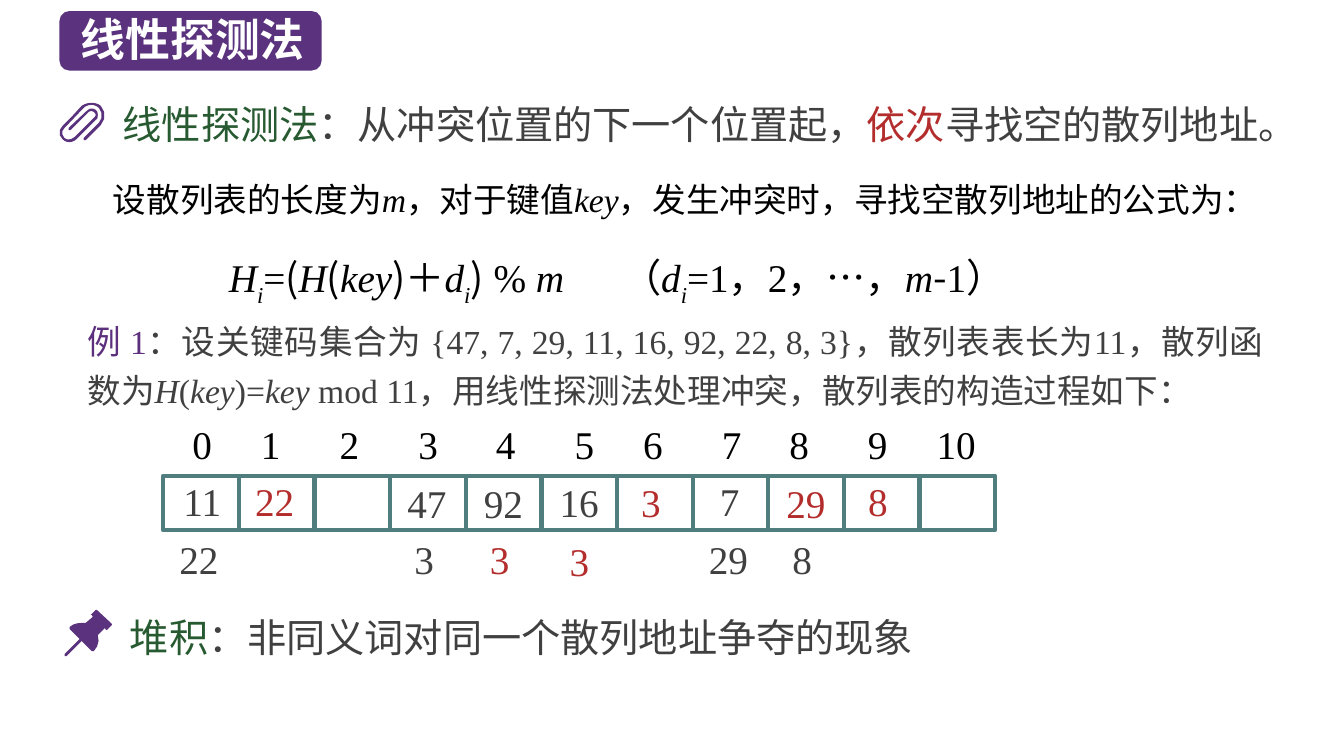
from dataclasses import dataclass
from typing import Any, Sequence

from lxml import etree
from pptx import Presentation
from pptx.dml.color import RGBColor
from pptx.enum import shapes, text
from pptx.oxml.ns import qn
from pptx.util import Inches, Pt

PURPLE = RGBColor(0x5A, 0x32, 0x7D)
VIOLET = RGBColor(0x5C, 0x30, 0x7D)
GREEN = RGBColor(0x28, 0x5A, 0x32)
RED = RGBColor(0xB4, 0x2D, 0x2D)
GRAY = RGBColor(0x40, 0x40, 0x40)
TEAL = RGBColor(0x50, 0x7D, 0x7D)
BLACK = RGBColor(0, 0, 0)
WHITE = RGBColor(0xFF, 0xFF, 0xFF)
SANS = "Noto Sans CJK SC"
SERIF = "Times New Roman"


@dataclass(frozen=True)
class Run:
    text: str
    color: RGBColor = BLACK
    font: str = SERIF
    italic: bool = False
    subscript: bool = False


@dataclass(frozen=True)
class Key:
    """A key written in the hash table or below it."""
    value: str
    left: float
    top: float
    color: RGBColor = GRAY


# Outlines: a pair is a straight step, six numbers are a Bézier curve
CLIP = [
    (1, 1.05), (0.98, 1.03, 0.94, 1.02, 0.91, 1.02), (0.87, 1.02, 0.84, 1.03, 0.81, 1.05),
    (0.7, 1.17), (0.62, 1.25), (0.58, 1.28, 0.58, 1.35, 0.62, 1.38),
    (0.64, 1.4, 0.66, 1.41, 0.69, 1.41), (0.71, 1.41, 0.74, 1.4, 0.76, 1.38),
    (0.9, 1.24), (0.95, 1.19), (0.97, 1.18, 0.97, 1.16, 0.97, 1.14),
    (0.97, 1.12, 0.97, 1.11, 0.95, 1.09), (0.93, 1.07, 0.88, 1.07, 0.86, 1.1),
    (0.68, 1.27), (0.68, 1.29), (0.69, 1.29), (0.7, 1.29),
    (0.88, 1.11), (0.89, 1.1, 0.92, 1.1, 0.93, 1.11), (0.94, 1.12, 0.95, 1.13, 0.95, 1.14),
    (0.95, 1.15, 0.94, 1.16, 0.93, 1.17), (0.88, 1.22), (0.74, 1.36),
    (0.71, 1.39, 0.66, 1.39, 0.64, 1.37), (0.61, 1.34, 0.61, 1.29, 0.64, 1.27),
    (0.65, 1.26), (0.83, 1.07), (0.85, 1.05, 0.88, 1.04, 0.91, 1.04),
    (0.93, 1.04, 0.96, 1.05, 0.98, 1.07), (1.02, 1.11, 1.02, 1.18, 0.98, 1.22),
    (0.83, 1.37), (0.83, 1.39), (0.84, 1.39), (0.85, 1.39),
    (1, 1.24), (1.05, 1.19, 1.05, 1.1, 1, 1.05),
]
PIN_HEAD = [
    (1.11, 6.19), (0.96, 6.05), (0.95, 6.05), (0.91, 6.09),
    (0.9, 6.1), (0.91, 6.1), (0.92, 6.12), (0.85, 6.18),
    (0.84, 6.18, 0.83, 6.18, 0.81, 6.18), (0.77, 6.18, 0.72, 6.19, 0.69, 6.22),
    (0.69, 6.24), (0.91, 6.46), (0.93, 6.46), (0.97, 6.42, 0.99, 6.36, 0.97, 6.3),
    (1.04, 6.23), (1.05, 6.25), (1.06, 6.25), (1.11, 6.2),
]
PIN_NEEDLE = [
    (0.66, 6.51), (0.64, 6.51), (0.64, 6.49), (0.8, 6.33),
    (0.82, 6.33), (0.83, 6.34, 0.83, 6.35, 0.82, 6.35),
]


def write(frame: Any, runs: Sequence[Run], *, size: float = 28, bold: bool = False,
          align: Any = text.PP_ALIGN.LEFT, spacing: Any = None,
          margins: tuple[float, float] = (0.1, 0.05), tabs: Sequence[float] = ()) -> None:
    """Fill a text frame with one paragraph of formatted runs."""
    frame.word_wrap = True
    frame.auto_size = text.MSO_AUTO_SIZE.SHAPE_TO_FIT_TEXT
    frame.vertical_anchor = text.MSO_ANCHOR.TOP
    frame.margin_left = frame.margin_right = Inches(margins[0])
    frame.margin_top = frame.margin_bottom = Inches(margins[1])
    paragraph = frame.paragraphs[0]
    paragraph.alignment = align
    if spacing:
        paragraph.line_spacing = spacing
    properties = paragraph._p.get_or_add_pPr()
    properties.set("hangingPunct", "0")
    if tabs:
        stops = etree.SubElement(properties, qn("a:tabLst"))
        for stop in tabs:
            etree.SubElement(stops, qn("a:tab"), pos=str(Inches(stop)), algn="l")
    for item in runs:
        run = paragraph.add_run()
        run.text = item.text
        run.font.size, run.font.name = Pt(size), item.font
        run.font.bold, run.font.italic = bold, item.italic
        run.font.color.rgb = item.color
        properties = run._r.get_or_add_rPr()
        properties.set("lang", "zh-CN")
        etree.SubElement(properties, qn("a:ea"), typeface=SANS)
        if item.subscript:
            properties.set("baseline", "-30000")


def add_text(parent: Any, left: float, top: float, width: float, height: float,
             runs: Sequence[Run], **formatting: Any) -> None:
    box = parent.add_textbox(Inches(left), Inches(top), Inches(width), Inches(height))
    write(box.text_frame, runs, **formatting)


def add_outline(parent: Any, steps: Sequence[tuple[float, ...]], samples: int = 3) -> None:
    """Draw a filled outline, sampling its curves."""
    points = [steps[0]]
    for step in steps[1:]:
        if len(step) == 2:
            points.append(step)
            continue
        knots = [points[-1], step[:2], step[2:4], step[4:]]
        for index in range(1, samples + 1):
            t = index / samples
            weights = ((1 - t) ** 3, 3 * t * (1 - t) ** 2, 3 * t * t * (1 - t), t ** 3)
            points.append(tuple(sum(w * k[axis] for w, k in zip(weights, knots))
                                for axis in (0, 1)))
    corners = [(Inches(x), Inches(y)) for x, y in points]
    builder = parent.build_freeform(*corners[0])
    builder.add_line_segments(corners[1:], close=True)
    outline = builder.convert_to_shape()
    outline.shadow.inherit = False
    outline.fill.solid()
    outline.fill.fore_color.rgb = PURPLE
    outline.line.fill.background()


presentation = Presentation()
presentation.slide_width, presentation.slide_height = Inches(13.33), Inches(7.5)
slide = presentation.slides.add_slide(presentation.slide_layouts[5])

# Title on its badge
title = slide.shapes.title
title.left, title.top, title.width, title.height = map(Inches, (0.7, 0.07, 2.65, 0.64))
write(title.text_frame, [Run("线性探测法", WHITE, SANS)], size=32, bold=True)
badge = slide.shapes.add_shape(shapes.MSO_SHAPE.ROUNDED_RECTANGLE, Inches(0.59),
                               Inches(0.11), Inches(2.6), Inches(0.59))
badge.shadow.inherit = False
badge.fill.solid()
badge.fill.fore_color.rgb = PURPLE
badge.line.fill.background()
title.element.addprevious(badge.element)

# Probing formula
H, D, M = Run("H", italic=True), Run("d", italic=True), Run("m", italic=True)
KEY, INDEX = Run("key", italic=True), Run("i", italic=True, subscript=True)
OPEN, COMMA = Run("(", font=SANS), Run("，", font=SANS)
formula = [H, INDEX, Run("="), OPEN, H, OPEN, KEY, Run(")＋", font=SANS), D, INDEX,
           Run(")", font=SANS), Run(" % "), M, Run("\t"), Run("（", font=SANS), D, INDEX,
           Run("=1"), COMMA, Run("2"), COMMA, Run("…", font=SANS), COMMA, M,
           Run("-", font=SANS), Run("1"), Run("）", font=SANS)]
add_text(slide.shapes, 2.27, 2.35, 8.83, 0.67, formula, spacing=1.2,
         align=text.PP_ALIGN.JUSTIFY, margins=(0, 0.05), tabs=[3.9])

# Definition with paper clip
definition = slide.shapes.add_group_shape().shapes
add_text(definition, 1.12, 0.95, 12.16, 0.57, [
    Run("线性探测法", GREEN, SANS), Run("：从冲突位置的下一个位置起，", GRAY, SANS),
    Run("依次", RED, SANS), Run("寻找空的散列地址。", GRAY, SANS)])
add_outline(definition, CLIP)

# Formula introduction and worked example
add_text(slide.shapes, 1.12, 1.65, 11.51, 0.59, [
    Run("设散列表的长度为"), M, Run("，对于键值"), KEY,
    Run("，发生冲突时，寻找空散列地址的公式为：")],
    size=24, spacing=1.2, align=text.PP_ALIGN.JUSTIFY, margins=(0, 0.05))
gray_key = Run("key", GRAY, italic=True)
add_text(slide.shapes, 0.77, 3.05, 11.86, 1.04, [
    Run("例 1", VIOLET),
    Run("：设关键码集合为 {47, 7, 29, 11, 16, 92, 22, 8, 3}，散列表表长为11，散列函数为", GRAY),
    Run("H", GRAY, italic=True), Run("(", GRAY), gray_key, Run(")=", GRAY), gray_key,
    Run(" mod 11，用线性探测法处理冲突，散列表的构造过程如下：", GRAY)],
    size=24, spacing=Pt(35), align=text.PP_ALIGN.JUSTIFY)

# Keys in the table and, below, the keys that collided
KEYS = [
    Key("11", 1.82, 4.74), Key("22", 2.53, 4.74, RED), Key("47", 4.04, 4.76),
    Key("92", 4.8, 4.76), Key("16", 5.55, 4.75), Key("3", 6.36, 4.75, RED),
    Key("7", 7.14, 4.74), Key("29", 7.8, 4.76, RED), Key("8", 8.61, 4.74, RED),
    Key("22", 1.78, 5.31), Key("3", 4.11, 5.31), Key("3", 4.86, 5.31, RED),
    Key("3", 5.65, 5.33, RED), Key("29", 7.03, 5.31), Key("8", 7.86, 5.31),
]
for key in KEYS:
    add_text(slide.shapes, key.left, key.top, 0.25 * len(key.value), 0.47,
             [Run(key.value, key.color)], margins=(0, 0))

# Table cells and their addresses
table = slide.shapes.add_group_shape().shapes
for column in range(11):
    cell = table.add_shape(shapes.MSO_SHAPE.RECTANGLE, Inches(1.62 + 0.75 * column),
                           Inches(4.72), Inches(0.75), Inches(0.54))
    cell.shadow.inherit = False
    cell.fill.background()
    cell.line.color.rgb, cell.line.width = TEAL, Pt(3)
ADDRESS_TABS = [0.19, 0.87, 1.65, 2.43, 3.2, 3.98, 4.66, 5.44, 6.11, 6.89, 7.57]
add_text(table, 1.62, 4.17, 8.19, 0.47,
         [Run("".join(f"\t{address}" for address in range(11)))],
         margins=(0.1, 0), tabs=ADDRESS_TABS)

# Clustering note with pushpin
clustering = slide.shapes.add_group_shape().shapes
add_text(clustering, 1.19, 6.04, 11.48, 0.57, [
    Run("堆积", GREEN, SANS), Run("：非同义词对同一个散列地址争夺的现象", GRAY, SANS)])
for outline_steps in (PIN_HEAD, PIN_NEEDLE):
    add_outline(clustering, outline_steps)

presentation.save("out.pptx")
